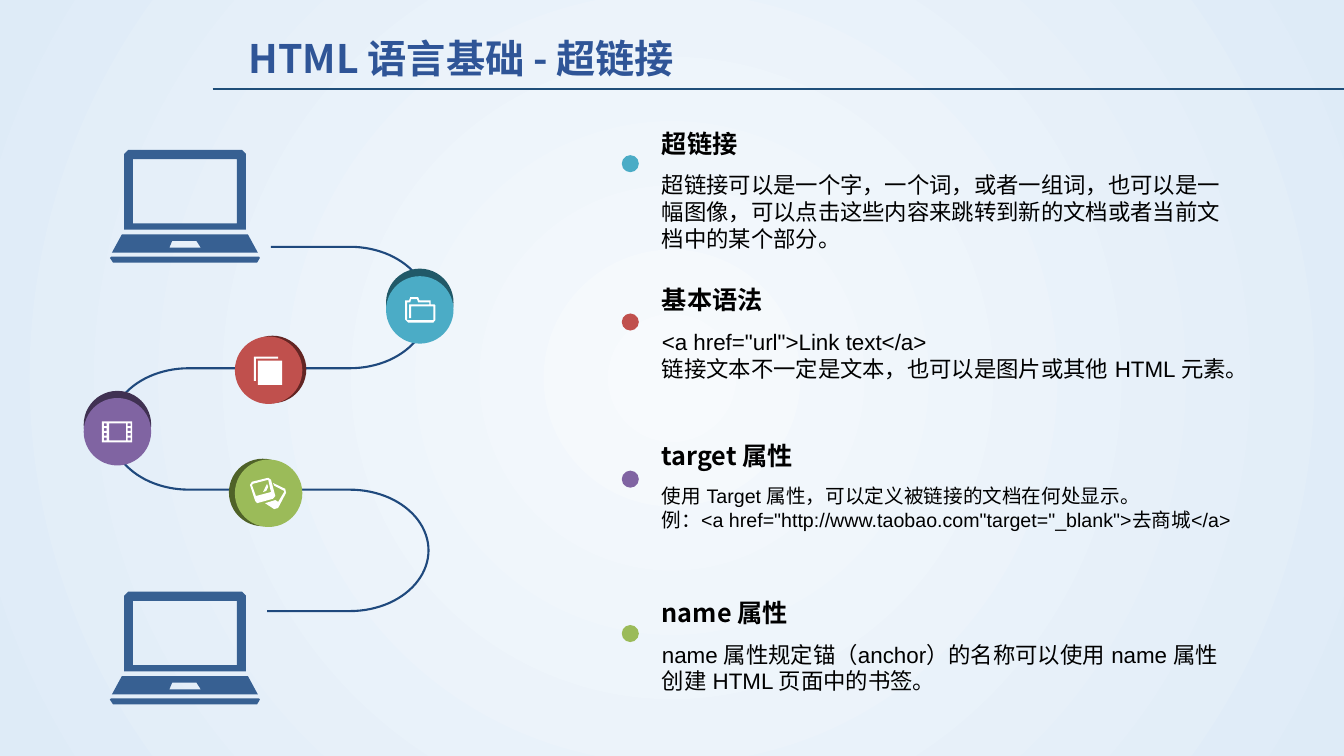
"""Build the hyperlink slide of an HTML basics course."""
import dataclasses
import math

import lxml.etree
import pptx
import pptx.dml.color
import pptx.enum.shapes
import pptx.enum.text
import pptx.oxml.ns
import pptx.util

Cm, Pt, qn = pptx.util.Cm, pptx.util.Pt, pptx.oxml.ns.qn
rgb = pptx.dml.color.RGBColor.from_string
SHAPE = pptx.enum.shapes.MSO_SHAPE


@dataclasses.dataclass(frozen=True)
class Theme:
    """Colours, fonts and type sizes."""
    center: str = "F7FAFD"
    edge: str = "DEEBF7"
    title: str = "2F5597"
    rule: str = "1F4E79"
    track: str = "1F497D"
    laptop: str = "376092"
    text: str = "000000"
    icon: str = "FFFFFF"
    teal: tuple = ("4BACC6", "215968")
    red: tuple = ("C0504D", "632523")
    purple: tuple = ("8064A2", "403152")
    green: tuple = ("9BBB59", "4F6228")
    head_font: str = "Noto Sans CJK SC"
    body_font: str = "Arial"
    title_size: int = 28
    head_size: int = 18
    body_size: int = 16
    small_size: int = 14


def write(tf, text, *, size, color, font, bold=False):
    """Fill a text frame, one paragraph per line of text."""
    for i, line in enumerate(text.split("\n")):
        p = tf.add_paragraph() if i else tf.paragraphs[0]
        r = p.add_run()
        r.text = line
        r.font.size, r.font.bold, r.font.name = Pt(size), bold, font
        r.font.color.rgb = rgb(color)
        lxml.etree.SubElement(r._r.get_or_add_rPr(), qn("a:ea"), typeface=font)


def box(left, top, right, bottom):
    """Return the corners of a rectangle."""
    return [(left, top), (right, top), (right, bottom), (left, bottom)]


def half_turn(start, end, x, top, radius, height):
    """Return a track that runs out to x, turns back and returns one row lower."""
    half = height / 2
    angles = [math.pi * i / 48 for i in range(49)]
    arc = [(x + radius * math.sin(a), top + half - half * math.cos(a)) for a in angles]
    return [(start, top), *arc, (end, top + height)]


class Deck:
    """Style and current slide, with a method for each kind of element."""

    def __init__(self, prs, theme):
        self.theme = theme
        self.s = prs.slides.add_slide(prs.slide_layouts[6])

    def background(self):
        fill = self.s.background.fill
        fill.gradient()
        for stop, color, pos in zip(fill.gradient_stops, (self.theme.center, self.theme.edge), (0, 1)):
            stop.color.rgb, stop.position = rgb(color), pos
        grad = self.s._element.find(".//" + qn("a:gradFill"))
        grad.remove(grad.find(qn("a:lin")))
        radial = lxml.etree.SubElement(grad, qn("a:path"), path="circle")
        lxml.etree.SubElement(radial, qn("a:fillToRect"), l="50000", t="50000", r="50000", b="50000")

    def line(self, x1, y1, x2, y2, color, width):
        kind = pptx.enum.shapes.MSO_CONNECTOR.STRAIGHT
        c = self.s.shapes.add_connector(kind, Cm(x1), Cm(y1), Cm(x2), Cm(y2))
        c.line.color.rgb, c.line.width = rgb(color), Pt(width)
        lxml.etree.SubElement(c._element.spPr, qn("a:effectLst"))

    def text(self, x, y, w, h, text, **style):
        tf = self.s.shapes.add_textbox(Cm(x), Cm(y), Cm(w), Cm(h)).text_frame
        tf.word_wrap = True
        tf.auto_size = pptx.enum.text.MSO_AUTO_SIZE.SHAPE_TO_FIT_TEXT
        write(tf, text, **style)

    def shape(self, kind, x, y, size, color):
        sp = self.s.shapes.add_shape(kind, Cm(x), Cm(y), Cm(size), Cm(size))
        self.paint(sp, color)

    def paint(self, sp, color):
        sp.shadow.inherit = False
        sp.fill.solid()
        sp.fill.fore_color.rgb = rgb(color)
        sp.line.fill.background()

    def outline(self, x, y, contours, close=True):
        rings = [[(Cm(x + px), Cm(y + py)) for px, py in ring] for ring in contours]
        fb = self.s.shapes.build_freeform(*rings[0][0], scale=1.0)
        for i, ring in enumerate(rings):
            if i:
                fb.move_to(*ring[0])
            fb.add_line_segments(ring[1:], close=close)
        return fb.convert_to_shape()

    def solid(self, x, y, contours, color):
        self.paint(self.outline(x, y, contours), color)

    def track(self, points, width=1.5):
        sp = self.outline(0, 0, [points], close=False)
        sp.shadow.inherit = False
        sp.fill.background()
        sp.line.color.rgb, sp.line.width = rgb(self.theme.track), Pt(width)


T = Theme()
LAPTOP = [
    [(3.48, 2.13), (0.3, 2.13), (0.05, 2.59), (3.73, 2.59)],
    [(1.5, 2.46), (1.57, 2.29), (2.18, 2.29), (2.29, 2.46)],
    [(0.36, 2.01), (0.36, 0.1), (0.46, 0), (3.33, 0), (3.43, 0.1), (3.43, 2.01)],
    box(0.58, 0.23, 3.2, 1.85),
    [(0.03, 2.69), (0, 2.72), (0.08, 2.84), (3.71, 2.84), (3.78, 2.72), (3.76, 2.69)],
]
FOLDER = [
    [(0.74, 0.18), (0.64, 0.18), (0.64, 0.08), (0.36, 0.08), (0.33, 0), (0.13, 0), (0.1, 0.08),
     (0, 0.08), (0, 0.56), (0.08, 0.64), (0.71, 0.64), (0.76, 0.58), (0.76, 0.2)],
    [(0.13, 0.13), (0.15, 0.05), (0.3, 0.05), (0.33, 0.13), (0.61, 0.13), (0.61, 0.18), (0.1, 0.18),
     (0.1, 0.53), (0.15, 0.53), (0.15, 0.23), (0.71, 0.23), (0.71, 0.58), (0.05, 0.58), (0.05, 0.13)],
]
PAGE_EDGE = [[(0.05, 0.05), (0.61, 0.05), (0.61, 0), (0, 0), (0, 0.61), (0.05, 0.61)]]
PHOTO_GLINT = [[(0.41, 0.33), (0.46, 0.23), (0.43, 0.15), (0.33, 0.36)]]
PHOTO_BACK = [[(0.89, 0.28), (0.58, 0.13), (0.61, 0.2), (0.86, 0.33), (0.86, 0.36), (0.71, 0.61),
               (0.64, 0.56), (0.58, 0.58), (0.38, 0.64), (0.61, 0.79), (0.71, 0.76), (0.91, 0.38)]]
PHOTO_FRONT = [
    [(0.64, 0.46), (0.53, 0.05), (0.46, 0), (0.05, 0.1), (0, 0.18), (0.13, 0.58), (0.18, 0.64), (0.58, 0.53)],
    [(0.15, 0.46), (0.05, 0.18), (0.08, 0.15), (0.46, 0.05), (0.53, 0.36)],
]
FILM = [box(0, 0, 0.76, 0.53), box(0.18, 0.05, 0.61, 0.48)] + [
    box(x, 0.05 + 0.12 * i, x + 0.07, 0.12 + 0.12 * i) for x in (0.05, 0.65) for i in range(4)]
ICONS = [(10.21, 7.49, FOLDER), (6.4, 8.99, PAGE_EDGE), (6.3, 12.04, PHOTO_GLINT),
         (6.3, 12.04, PHOTO_BACK), (6.3, 12.04, PHOTO_FRONT), (2.57, 10.62, FILM)]
NODES = [(9.73, 6.96, 0, -0.19, T.teal), (5.92, 8.48, 0.1, -0.02, T.red),
         (2.11, 10.03, 0, -0.18, T.purple), (5.92, 11.58, -0.15, -0.02, T.green)]
TOPICS = [
    ("超链接", "超链接可以是一个字，一个词，或者一组词，也可以是一幅图像，可以点击这些内容来跳转到新的文档或者当前文档中的某个部分。",
     T.teal, T.body_size, 15.04, 2.31, 3.91),
    ("基本语法", '<a href="url">Link text</a>\n链接文本不一定是文本，也可以是图片或其他 HTML 元素。',
     T.red, T.body_size, 15.04, 1.63, 7.9),
    ("target 属性", '使用 Target 属性，可以定义被链接的文档在何处显示。\n'
     '例：<a href="http://www.taobao.com"target="_blank">去商城</a>',
     T.purple, T.small_size, 15.57, 1.45, 11.86),
    ("name 属性", "name 属性规定锚（anchor）的名称可以使用 name 属性创建 HTML 页面中的书签。",
     T.green, T.body_size, 15.04, 1.63, 15.75),
]


def main():
    """Draw the slide and save it."""
    prs = pptx.Presentation()
    prs.slide_width, prs.slide_height = Cm(33.87), Cm(19.05)
    deck = Deck(prs, T)
    deck.background()
    deck.line(5.36, 2.24, 33.87, 2.24, T.rule, 1.25)
    deck.text(6.02, 0.74, 26.77, 1.45, "HTML 语言基础 - 超链接",
              size=T.title_size, color=T.title, font=T.head_font, bold=True)

    row = 3.06
    turns = [(6.83, 6.73, 8.82, 1.98), (6.76, 6.91, 4.76, -1.98), (6.83, 6.73, 8.82, 1.98)]
    for i, (start, end, x, radius) in enumerate(turns):
        deck.track(half_turn(start, end, x, 6.22 + i * row, radius, row))
    for x, y, dx, dy, (_, dark) in NODES:
        deck.shape(SHAPE.OVAL, x + dx, y + dy, 1.7, dark)
    for y in (3.78, 14.91):
        deck.solid(2.77, y, LAPTOP, T.laptop)
    for x, y, _, _, (color, _) in NODES:
        deck.shape(SHAPE.OVAL, x, y, 1.7, color)
    for x, y, contours in ICONS:
        deck.solid(x, y, contours, T.icon)
    deck.shape(SHAPE.RECTANGLE, 6.5, 9.09, 0.61, T.icon)

    for i, (head, body, (color, _), size, w, h, dot_y) in enumerate(TOPICS):
        top = 3.1 + 3.94 * i
        deck.shape(SHAPE.OVAL, 15.67, dot_y, 0.43, color)
        deck.text(16.43, top, 6.35, 1.02, head,
                  size=T.head_size, color=T.text, font=T.head_font, bold=True)
        deck.text(16.43, top + 1.1, w, h, body, size=size, color=T.text, font=T.body_font)
    prs.save("out.pptx")


if __name__ == "__main__":
    main()
